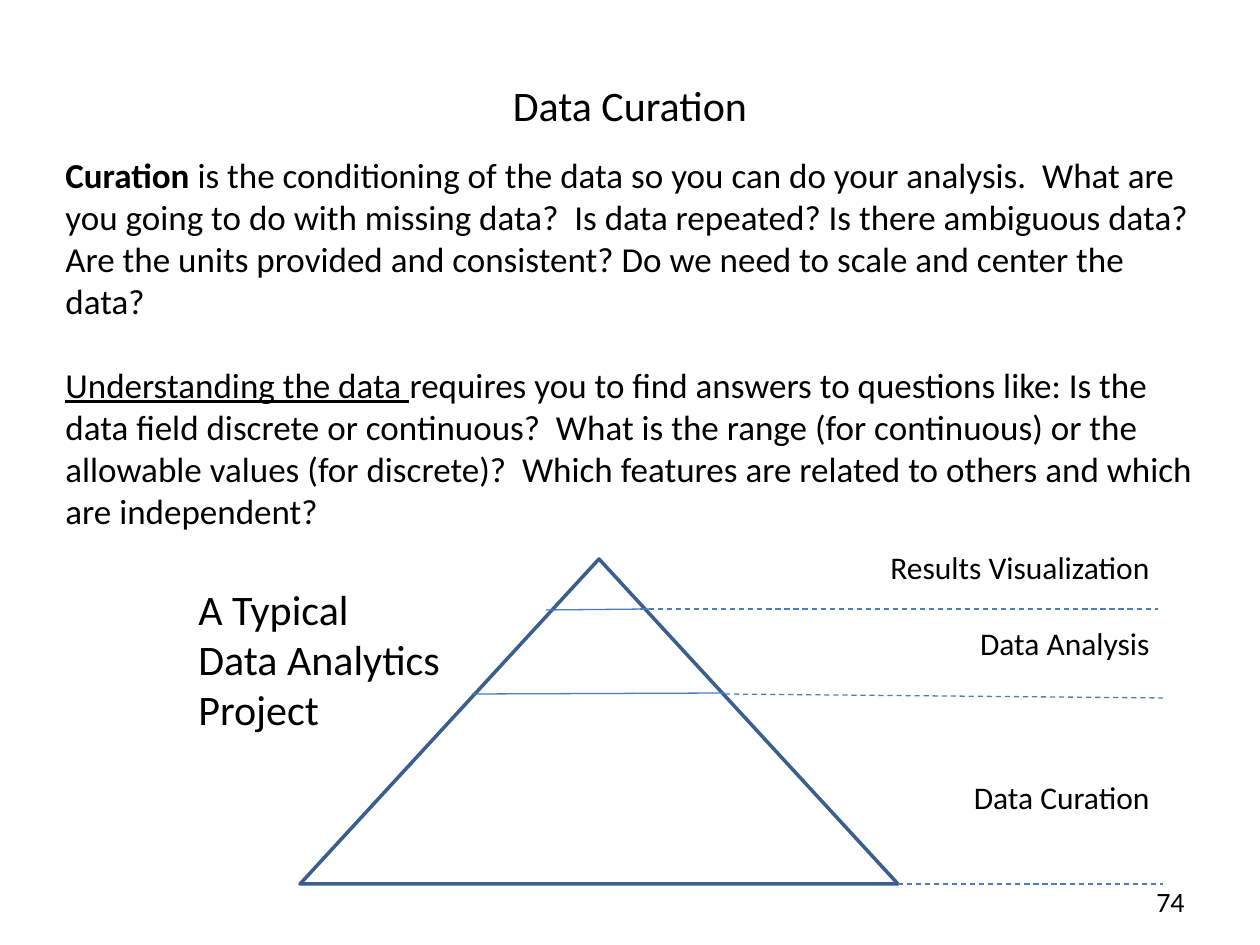
from dataclasses import dataclass

from lxml import etree
from pptx import Presentation
from pptx.dml.color import RGBColor
from pptx.enum.dml import MSO_LINE
from pptx.enum.shapes import MSO_CONNECTOR, MSO_SHAPE
from pptx.enum.text import MSO_ANCHOR, PP_ALIGN
from pptx.oxml.ns import qn
from pptx.util import Emu, Pt

PX = 914400 / 126
LEFT, CENTER, RIGHT = PP_ALIGN.LEFT, PP_ALIGN.CENTER, PP_ALIGN.RIGHT
TOP, MIDDLE, BOTTOM = MSO_ANCHOR.TOP, MSO_ANCHOR.MIDDLE, MSO_ANCHOR.BOTTOM
DASH = MSO_LINE.DASH
STRAIGHT = MSO_CONNECTOR.STRAIGHT
TRIANGLE = MSO_SHAPE.ISOSCELES_TRIANGLE


@dataclass(frozen=True)
class Theme:
    font: str = "Calibri"
    text: RGBColor = RGBColor(0, 0, 0)
    outline: RGBColor = RGBColor(0x3A, 0x5F, 0x8C)
    rule: RGBColor = RGBColor(0x4B, 0x7E, 0xBC)
    heading: int = 24
    body: int = 20
    label: int = 18
    number: int = 16
    line_height: float = 1.22


THEME = Theme()


def px(length):
    return Emu(round(length * PX))


def add_text(page, box, paragraphs, size, align=LEFT, anchor=TOP, wrap=True):
    """Each paragraph is (blank lines' worth of space before, [(text, style)])."""
    frame = page.shapes.add_textbox(*map(px, box)).text_frame
    frame.word_wrap = wrap
    frame.vertical_anchor = anchor
    for index, (gap, spans) in enumerate(paragraphs):
        para = frame.paragraphs[0] if index == 0 else frame.add_paragraph()
        para.alignment = align
        para.space_before = Pt(round(gap * size * THEME.line_height))
        para.font.name = THEME.font
        para.font.size = Pt(size)
        para.font.color.rgb = THEME.text
        for text, style in spans:
            span = para.add_run()
            span.text = text
            if style == "bold":
                span.font.bold = True
            elif style == "underline":
                span.font.underline = True
    return frame


def plain(text, gap=0):
    return gap, [(text, None)]


def add_rule(page, origin, start, end, dashed=False):
    left, top = origin
    rule = page.shapes.add_connector(
        STRAIGHT, px(left + start[0]), px(top + start[1]),
        px(left + end[0]), px(top + end[1]))
    rule.line.color.rgb = THEME.rule
    rule.line.width = Pt(0.75)
    if dashed:
        rule.line.dash_style = DASH
    etree.SubElement(rule._element.spPr, qn("a:effectLst"))


def add_title(page, box):
    frame = add_text(page, box, [plain("Data Curation")], THEME.heading, CENTER, BOTTOM)
    frame.margin_bottom = px(28)


def add_body(page, box):
    add_text(page, box, [
        (0, [("Curation", "bold"),
             (" is the conditioning of the data so you can do your analysis.  "
              "What are you going to do with missing data?  Is data repeated? "
              "Is there ambiguous data?  Are the units provided and consistent? "
              "Do we need to scale and center the data?", None)]),
        (1, [("Understanding the data ", "underline"),
             ("requires you to find answers to questions like: Is the data field "
              "discrete or continuous?  What is the range (for continuous) or the "
              "allowable values (for discrete)?  Which features are related to "
              "others and which are independent?", None)]),
    ], THEME.body)


def add_pyramid(page, box):
    """Pyramid with its caption at the left and its level labels at the right."""
    left, top, width, height = box
    origin = left, top
    pyramid = page.shapes.add_shape(TRIANGLE, *map(px, box))
    pyramid.shadow.inherit = False
    pyramid.fill.background()
    pyramid.line.color.rgb = THEME.outline
    pyramid.line.width = Pt(2)

    add_rule(page, origin, (172, 135), (425, 134))
    add_rule(page, origin, (246, 51), (351, 50))
    add_rule(page, origin, (340, 50), (858, 50), dashed=True)
    add_rule(page, origin, (425, 135), (863, 139), dashed=True)
    add_rule(page, origin, (width, height), (863, height), dashed=True)

    add_text(page, (left + 553, top - 17, 309, 280), [
        plain("Results Visualization"),
        plain("Data Analysis", 1),
        plain("Data Curation", 3),
    ], THEME.label, RIGHT)
    caption = ("A Typical", "Data Analytics", "Project")
    add_text(page, (left - 114, top + 18, 278, 165),
             [plain(line) for line in caption], THEME.heading, wrap=False)


def add_page_number(page, box):
    add_text(page, box, [plain("74")], THEME.number, RIGHT, MIDDLE)


def main():
    deck = Presentation()
    deck.slide_width, deck.slide_height = px(1260), px(945)
    page = deck.slides.add_slide(deck.slide_layouts[6])
    add_title(page, (63, 0, 1134, 158))
    add_body(page, (53, 147, 1166, 735))
    add_page_number(page, (903, 876, 294, 50))
    add_pyramid(page, (300, 559, 598, 325))
    deck.save("out.pptx")


if __name__ == "__main__":
    main()
